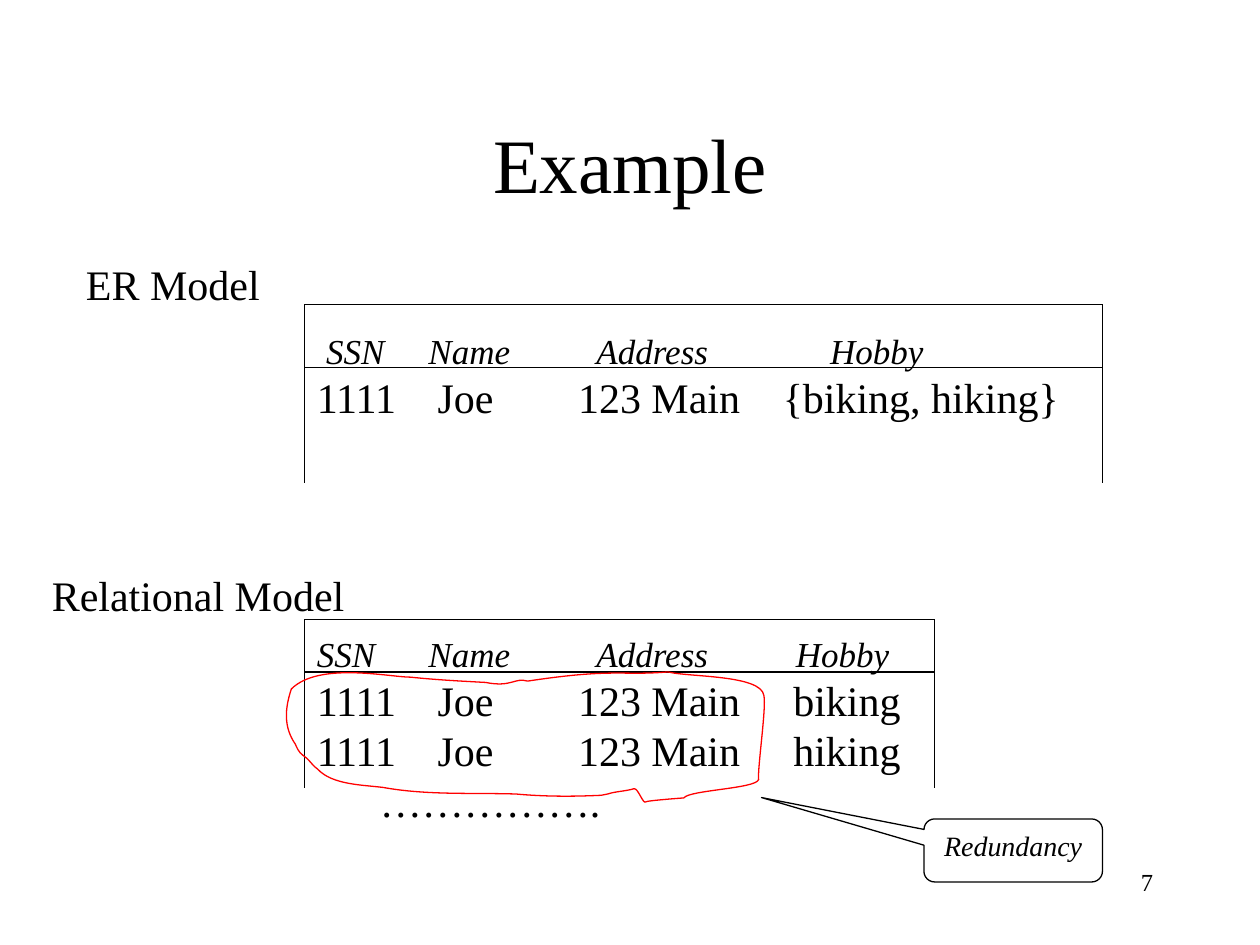
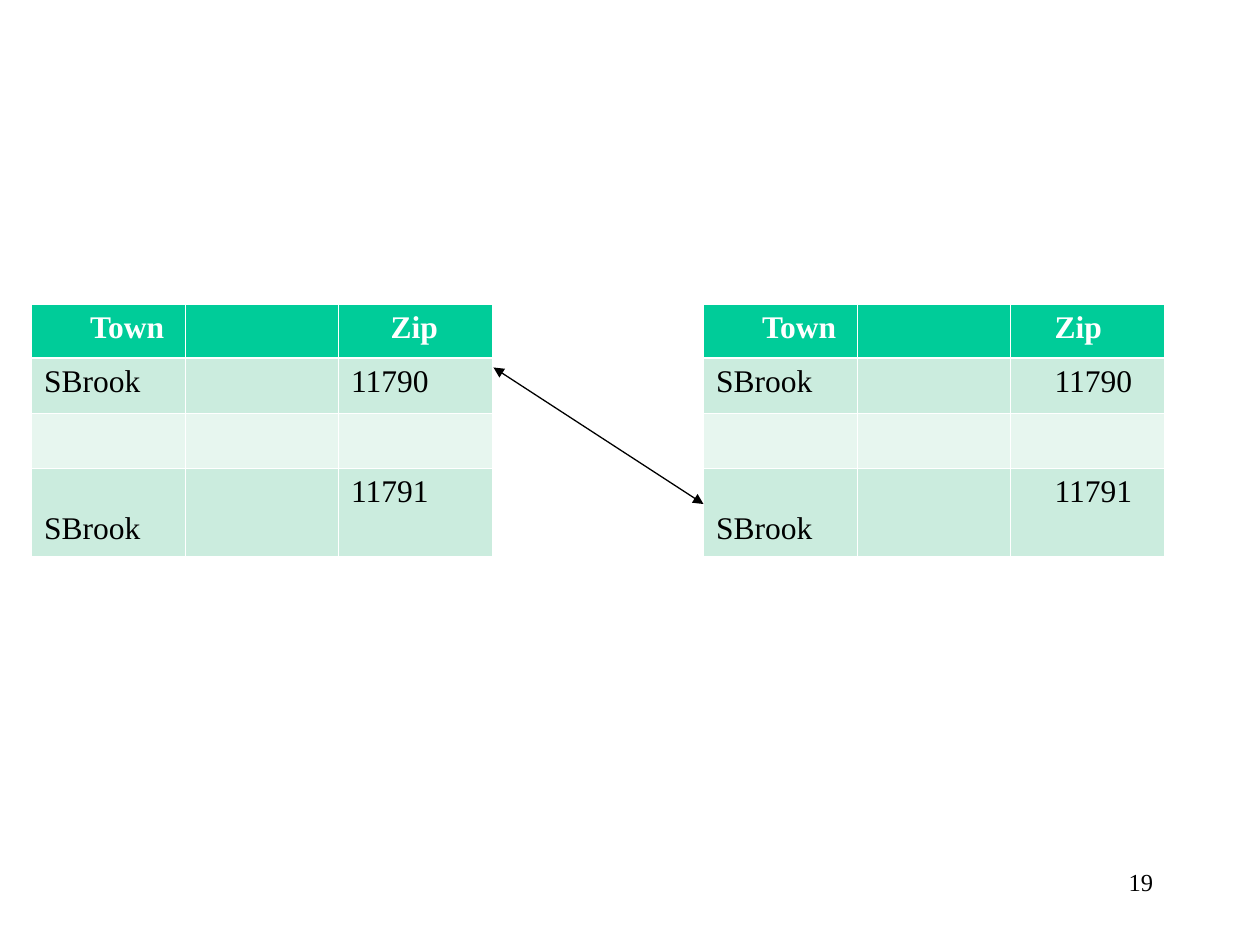
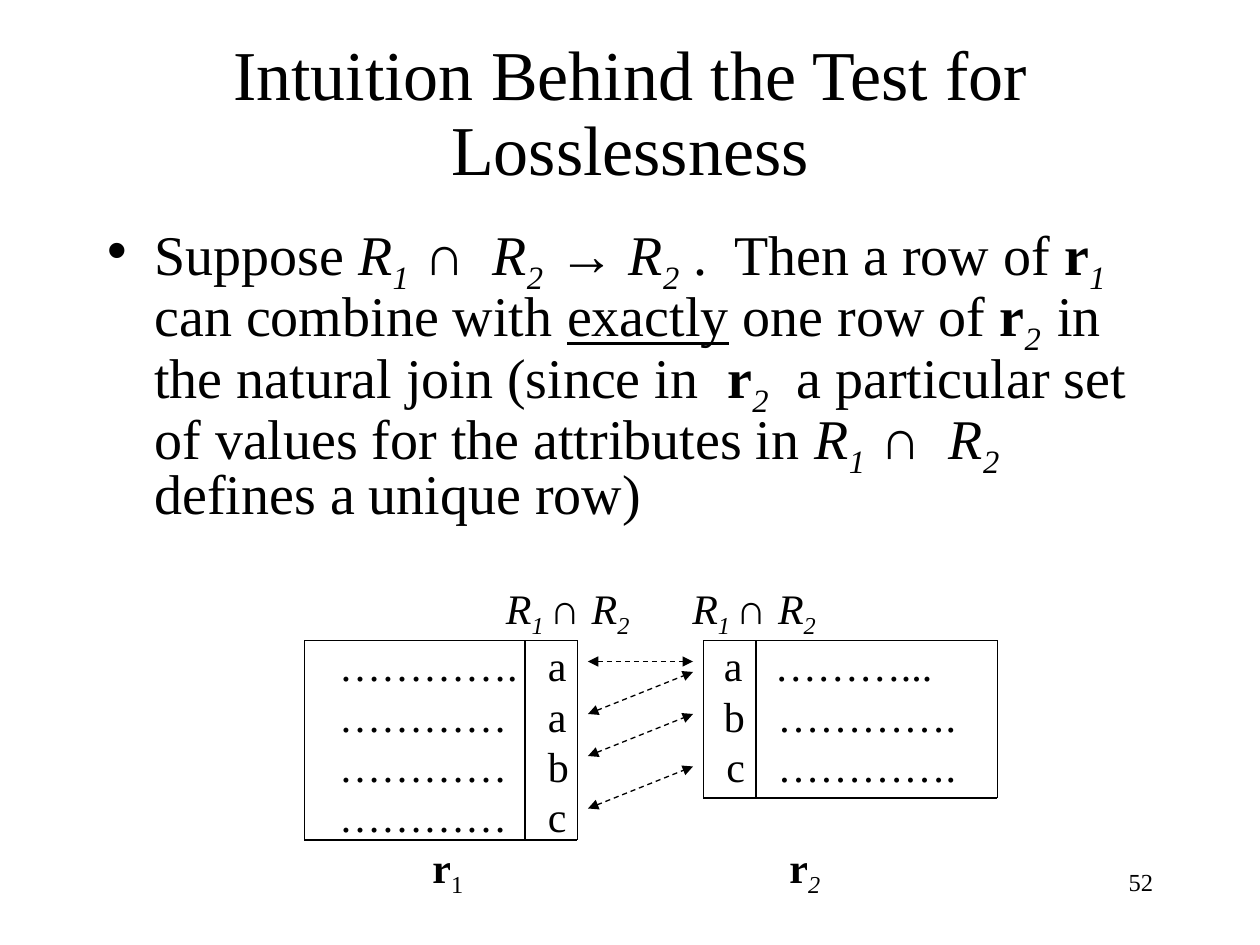
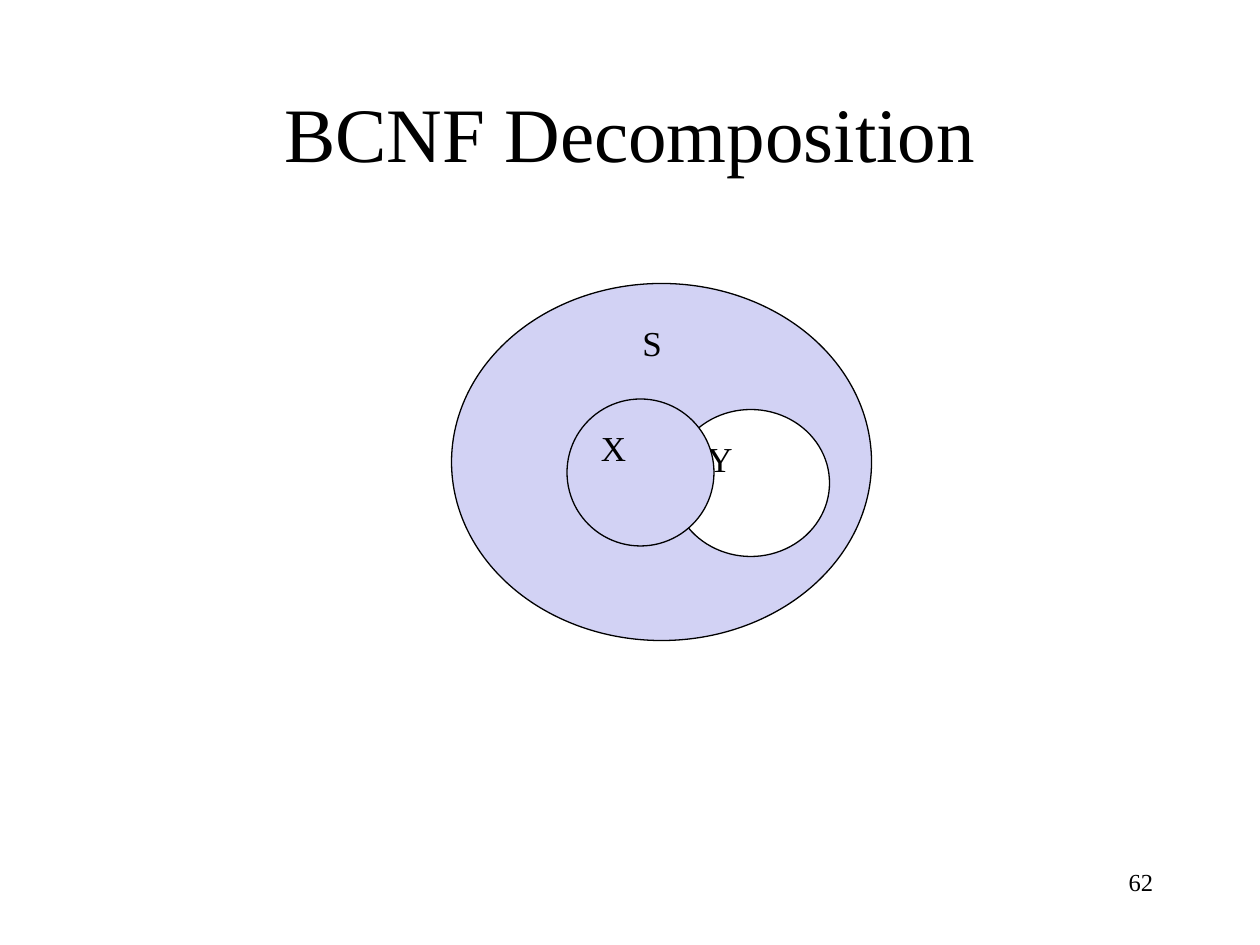
import dataclasses

import lxml.etree
import pptx
import pptx.dml.color
import pptx.enum.dml
import pptx.enum.shapes
import pptx.enum.text
import pptx.oxml.ns
import pptx.util

PX = 9525  # EMU per px, 96 px to the inch
SHAPE = pptx.enum.shapes.MSO_SHAPE
ALIGN = pptx.enum.text.PP_ALIGN
ANCHOR = pptx.enum.text.MSO_ANCHOR
qn = pptx.oxml.ns.qn


@dataclasses.dataclass(frozen=True)
class Theme:
    font: str = "Times New Roman"
    math: str = "Arial"
    ink: str = "000000"
    paper: str = "FFFFFF"
    head: str = "00CC99"
    band: str = "CBECDE"
    pale: str = "E7F6EF"
    lilac: str = "D2D2F4"
    red: str = "FF0000"
    title: int = 44
    tight: int = 40
    body: int = 32
    text: int = 24
    label: int = 20
    cell: int = 18
    note: int = 16
    page: int = 14
    line: float = 0.75
    thin: float = 0.45
    thick: float = 1.47


def rgb(code):
    return pptx.dml.color.RGBColor.from_string(code)


def sub(parent, tag, **attrs):
    return lxml.etree.SubElement(parent, qn(tag), attrs)


class Deck:
    """Holds the theme and the current slide."""

    def __init__(self, theme):
        self.theme = theme
        self.prs = pptx.Presentation()
        self.prs.slide_width, self.prs.slide_height = 960 * PX, 720 * PX
        self.slide = None

    def start(self, layout, number):
        self.slide = self.prs.slides.add_slide(self.prs.slide_layouts[layout])
        self.text((688, 656, 200, 48), str(number), self.theme.page, align=ALIGN.RIGHT)

    # Text
    def fill_par(self, par, runs, size, tabs=(), align=None, color=None,
                 bold=None, italic=None):
        """Runs are a string, or pairs of text and marks:
        i italic, b bold, u underline, s subscript, m math font."""
        par.alignment = align
        if tabs:
            stops = sub(par._p.get_or_add_pPr(), "a:tabLst")
            for stop in tabs:
                sub(stops, "a:tab", pos=str(stop * PX), algn="l")
        font = par.font
        font.name, font.size = self.theme.font, pptx.util.Pt(size)
        font.bold, font.italic = bold, italic
        font.color.rgb = rgb(color or self.theme.ink)
        if not runs:
            return
        for words, marks in [(runs, "")] if isinstance(runs, str) else runs:
            run = par.add_run()
            run.text = words
            if "i" in marks:
                run.font.italic = True
            if "b" in marks:
                run.font.bold = True
            if "u" in marks:
                run.font.underline = True
            if "m" in marks:
                run.font.name = self.theme.math
            if "s" in marks:
                run._r.get_or_add_rPr().set("baseline", "-25000")

    def place(self, shape, box):
        shape.left, shape.top, shape.width, shape.height = (n * PX for n in box)

    def text(self, box, runs, size, **style):
        self.rows(box, [(runs, size, style)])

    def rows(self, box, rows):
        frame = self.slide.shapes.add_textbox(*(n * PX for n in box)).text_frame
        frame.word_wrap = True
        for i, (runs, size, style) in enumerate(rows):
            par = frame.add_paragraph() if i else frame.paragraphs[0]
            self.fill_par(par, runs, size, **style)

    def title(self, box, words, size, spacing=None):
        shape = self.slide.shapes.title
        self.place(shape, box)
        frame = shape.text_frame
        frame.auto_size = pptx.enum.text.MSO_AUTO_SIZE.NONE
        frame.vertical_anchor = ANCHOR.MIDDLE
        par = frame.paragraphs[0]
        par.line_spacing = spacing
        self.fill_par(par, words, size, align=ALIGN.CENTER)

    def bullet(self, box, runs, size):
        shape = self.slide.placeholders[1]
        self.place(shape, box)
        shape.text_frame.auto_size = pptx.enum.text.MSO_AUTO_SIZE.NONE
        par = shape.text_frame.paragraphs[0]
        par.line_spacing = 0.8
        par.space_before = pptx.util.Pt(0)
        props = par._p.get_or_add_pPr()
        props.set("marL", str(36 * PX))
        props.set("indent", str(-36 * PX))
        sub(sub(props, "a:buClr"), "a:srgbClr", val=self.theme.ink)
        sub(props, "a:buChar", char="•")
        self.fill_par(par, runs, size)

    # Lines and shapes
    def line(self, x1, y1, x2, y2, arrows=False, dash=False):
        link = self.slide.shapes.add_connector(
            pptx.enum.shapes.MSO_CONNECTOR.STRAIGHT, x1 * PX, y1 * PX, x2 * PX, y2 * PX)
        self.stroke(link.line, self.theme.ink)
        if dash:
            link.line.dash_style = pptx.enum.dml.MSO_LINE.DASH
        if arrows:
            pen = link.line._get_or_add_ln()
            sub(pen, "a:headEnd", type="triangle")
            sub(pen, "a:tailEnd", type="triangle")
        sub(link._element.spPr, "a:effectLst")

    def grid(self, left, top, right, bottom, across=(), down=()):
        """An open-ended frame: full-width and full-height rules."""
        for y in (top, *across):
            self.line(left, y, right, y)
        for x in (left, *down, right):
            self.line(x, top, x, bottom)

    def stroke(self, line, color):
        line.color.rgb = rgb(color)
        line.width = pptx.util.Pt(self.theme.line)

    def finish(self, shape, fill, color):
        shape.shadow.inherit = False
        if fill:
            shape.fill.solid()
            shape.fill.fore_color.rgb = rgb(fill)
        else:
            shape.fill.background()
        self.stroke(shape.line, color)

    def shape(self, kind, box, fill=None, words="", size=20, adjust=(), **style):
        shape = self.slide.shapes.add_shape(kind, *(n * PX for n in box))
        for i, value in enumerate(adjust):
            shape.adjustments[i] = value
        self.finish(shape, fill, self.theme.ink)
        if words:
            shape.text_frame.vertical_anchor = ANCHOR.TOP
            style.setdefault("align", ALIGN.LEFT)
            self.fill_par(shape.text_frame.paragraphs[0], words, size, **style)

    def loop(self, start, curves, color):
        """A closed outline; each curve is two handles and an end."""
        pen = self.slide.shapes.build_freeform(*start, scale=PX)
        pen.add_line_segments(
            [point for c in curves for point in zip(c[::2], c[1::2])], close=True)
        shape = pen.convert_to_shape()
        # Fold every three segments into one cubic curve
        legs = list(shape._element.iter(qn("a:lnTo")))
        for i in range(0, 3 * len(curves), 3):
            curve = lxml.etree.Element(qn("a:cubicBezTo"))
            legs[i].addprevious(curve)
            for leg in legs[i:i + 3]:
                curve.append(leg[0])
                leg.getparent().remove(leg)
        self.finish(shape, None, color)

    # Tables
    def table(self, left, top, width, heights, rows):
        """Cells are text, or pairs of text and indent."""
        look = self.theme
        count = len(rows[0])
        table = self.slide.shapes.add_table(
            len(rows), count, left * PX, top * PX,
            count * width * PX, sum(heights) * PX).table
        table.horz_banding = False
        for col in table.columns:
            col.width = width * PX
        for r, (row, height) in enumerate(zip(rows, heights)):
            table.rows[r].height = height * PX
            for c, item in enumerate(row):
                words, indent = (item, 0) if isinstance(item, str) else item
                cell = table.cell(r, c)
                par = cell.text_frame.paragraphs[0]
                if indent:
                    par._p.get_or_add_pPr().set("marL", str(indent * PX))
                self.fill_par(par, words, look.cell, bold=r == 0,
                              color=look.ink if r else look.paper)
                self.border(cell, {"T": look.thick if r == 1 else look.thin,
                                   "B": look.thin if r else look.thick})
                cell.fill.solid()
                cell.fill.fore_color.rgb = rgb(
                    look.head if r == 0 else look.band if r % 2 else look.pale)
        low = table.cell(len(rows) - 1, 0)
        low.vertical_anchor = ANCHOR.BOTTOM
        low.margin_bottom = 8 * PX

    def border(self, cell, widths):
        props = cell._tc.get_or_add_tcPr()
        for side in "LRTB":
            wide = widths.get(side, self.theme.thin)
            pen = sub(props, "a:ln" + side, w=str(int(pptx.util.Pt(wide))))
            sub(sub(pen, "a:solidFill"), "a:srgbClr", val=self.theme.paper)


def example(deck):
    look = deck.theme
    deck.start(5, 7)
    deck.title((72, 64, 816, 120), "Example", look.title)

    # Rows of both models
    heads = dict(italic=True)
    cols = dict(tabs=[92, 199, 363])
    deck.rows((232, 477, 467, 157), [
        ("SSN\tName\tAddress\tHobby", look.label, dict(heads, tabs=[85, 213, 365])),
        ("1111\tJoe\t123 Main\tbiking", look.text, cols),
        ("1111\tJoe\t123 Main\thiking", look.text, cols),
        ("\t…………….", look.text, dict(tabs=[48])),
    ])
    deck.rows((232, 246, 588, 81), [
        ("\tSSN\tName\tAddress\tHobby", look.label,
         dict(heads, tabs=[7, 85, 213, 391])),
        ("1111\tJoe\t123 Main\t{biking, hiking}", look.text,
         dict(tabs=[92, 199, 355])),
    ])
    deck.text((56, 192, 160, 48), "ER Model", look.text)
    deck.text((30, 429, 250, 48), "Relational Model", look.text)
    deck.grid(232, 232, 840, 368, across=[280])
    deck.grid(232, 472, 712, 600, across=[512])

    # Redundant part
    deck.loop((370, 520), [
        (351, 519, 332, 518, 313, 516), (297, 516, 243, 504, 222, 525),
        (217, 540, 216, 554, 225, 567), (228, 574, 229, 574, 234, 578),
        (237, 581, 239, 584, 242, 586), (253, 598, 276, 598, 292, 600),
        (325, 606, 359, 604, 393, 605), (415, 607, 436, 607, 458, 606),
        (460, 606, 461, 605, 463, 605), (469, 603, 476, 603, 483, 601),
        (486, 600, 490, 613, 492, 611), (493, 610, 521, 608, 521, 608),
        (525, 602, 576, 601, 578, 594), (577, 586, 584, 539, 582, 530),
        (580, 514, 524, 516, 509, 512), (473, 515, 468, 509, 402, 519),
        (392, 516, 390, 524, 370, 520),
    ], look.red)
    deck.shape(SHAPE.ROUNDED_RECTANGULAR_CALLOUT, (704, 624, 136, 48),
               words="Redundancy", size=look.note, adjust=(-1.41, -0.84, 0.17),
               align=ALIGN.CENTER, italic=True)


def towns(deck):
    deck.start(6, 19)
    # Left edge, indent of the zip head, indent of the zips
    for left, head, zips in ((24, 30, 0), (536, 24, 24)):
        deck.table(left, 232, 117, (41, 42, 42, 67), [
            (("Town", 35), "", ("Zip", head)),
            ("SBrook", "", ("11790", zips)),
            ("", "", ""),
            ("SBrook", "", ("11791", zips)),
        ])
    deck.line(376, 280, 536, 384, arrows=True)


def lossless(deck):
    look = deck.theme
    deck.start(1, 52)
    deck.title((72, 24, 816, 128), "Intuition Behind the Test for Losslessness",
               look.tight, 0.9)
    meet = [("R", "i"), ("1", "is"), (" ∩", "m"), ("  R", "i"), ("2", "is")]
    deck.bullet((72, 168, 824, 248), [
        ("Suppose ", ""), *meet, (" →", "m"), (" R", "i"), ("2", "is"),
        (" .  Then a row of ", ""), ("r", "b"), ("1 ", "is"),
        ("can combine with ", ""), ("exactly", "u"), (" one row of ", ""),
        ("r", "b"), ("2  ", "is"), ("in the natural join (since in  ", ""),
        ("r", "b"), ("2", "is"),
        ("  a particular set of values for the attributes in ", ""),
        *meet, (" defines a unique row)", ""),
    ], look.body)

    # Rows of r1 and r2
    shared = [("R", "i"), ("1 ", "is"), ("∩ ", "m"), ("R", "i"), ("2", "is")]
    tab = [("\t", "")]
    deck.rows((249, 439, 490, 251), [
        (tab + shared + tab + shared, look.text, dict(tabs=[127, 269])),
        ("………….\ta\ta\t………...", look.text, dict(tabs=[159, 293, 332])),
        ("…………\ta\tb\t………….", look.text, dict(tabs=[159, 293, 334])),
        ("…………\tb\tc\t………….", look.text, dict(tabs=[159, 295, 334])),
        ("…………\tc", look.text, dict(tabs=[159])),
        (tab + [("r", "b"), ("1", "s")] + tab + [("r", "b"), ("2", "is")],
         look.text, dict(tabs=[71, 343])),
    ])
    deck.grid(232, 488, 440, 640, across=[640], down=[400])
    deck.grid(536, 488, 760, 608, across=[608], down=[576])
    for y1, y2 in ((504, 504), (544, 512), (576, 544), (616, 584)):
        deck.line(448, y1, 528, y2, arrows=True, dash=True)


def bcnf(deck):
    look = deck.theme
    deck.start(5, 62)
    deck.title((72, 64, 816, 72), "BCNF Decomposition", look.title)
    deck.shape(SHAPE.OVAL, (344, 216, 320, 272), look.lilac)
    deck.text((480, 240, 64, 42), "S", look.label)
    deck.shape(SHAPE.OVAL, (512, 312, 120, 112), look.paper, "Y", look.label)
    deck.shape(SHAPE.OVAL, (432, 304, 112, 112), look.lilac, "X", look.label)


def main():
    deck = Deck(Theme())
    for build in (example, towns, lossless, bcnf):
        build(deck)
    deck.prs.save("out.pptx")


if __name__ == "__main__":
    main()
